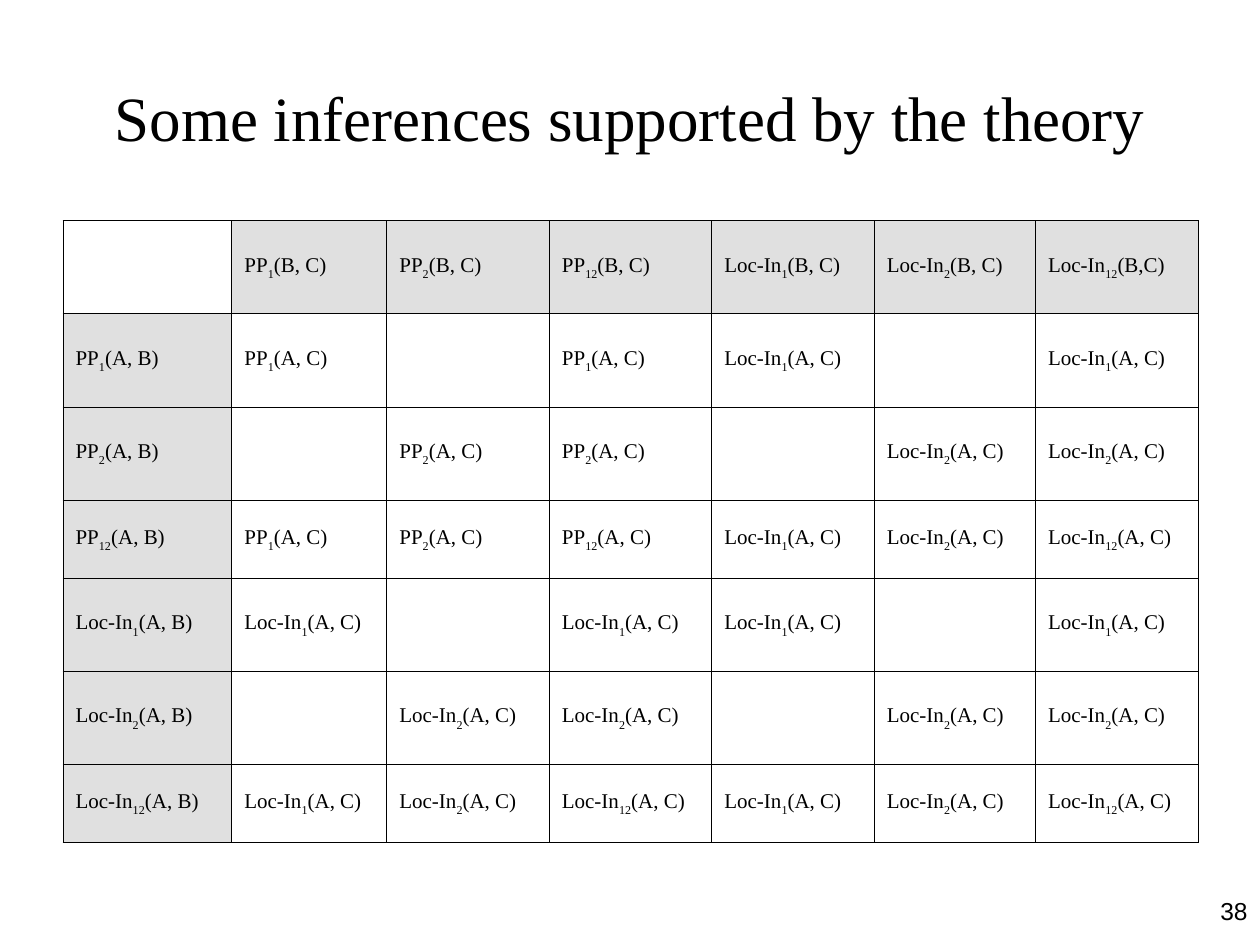
from lxml import etree
from pptx import Presentation
from pptx.dml.color import RGBColor
from pptx.enum.text import MSO_ANCHOR, PP_ALIGN
from pptx.oxml.ns import qn
from pptx.util import Inches, Pt

MIDDLE, TOP = MSO_ANCHOR.MIDDLE, MSO_ANCHOR.TOP
CENTER, RIGHT = PP_ALIGN.CENTER, PP_ALIGN.RIGHT
COLORS = {"ink": "000000", "header": "E0E0E0"}
SERIF, SANS = "Times New Roman", "Arial"

RELATIONS = [(name, index) for name in ("PP", "Loc-In") for index in ("1", "2", "12")]
COLUMN_WIDTHS = [1.34, 1.23, 1.29, 1.29, 1.29, 1.28, 1.29]
ROW_HEIGHTS = [0.74, 0.74, 0.74, 0.62, 0.74, 0.74, 0.62]
HANGING_INDENT = Inches(0.38)
BORDER_WIDTH = Pt(0.45)
SUBSCRIPT = "-30000"


def set_attributes(target, values):
    """Set every attribute named in a dict of format values."""
    for attribute, value in values.items():
        setattr(target, attribute, value)


def add_run(paragraph, text, font_name, size):
    """Append a formatted run to a paragraph and return it."""
    run = paragraph.add_run()
    run.text = text
    set_attributes(run.font, {"name": font_name, "size": Pt(size)})
    run.font.color.rgb = RGBColor.from_string(COLORS["ink"])
    return run


def add_label(slide, text, bounds, font_name, size, alignment, anchor):
    """Add a single-paragraph text box."""
    frame = slide.shapes.add_textbox(*map(Inches, bounds)).text_frame
    set_attributes(frame, {"word_wrap": True, "vertical_anchor": anchor})
    paragraph = frame.paragraphs[0]
    paragraph.alignment = alignment
    add_run(paragraph, text, font_name, size)


def add_borders(cell):
    """Draw a thin line on all four sides of a cell."""
    properties = cell._tc.get_or_add_tcPr()
    for side in ("a:lnL", "a:lnR", "a:lnT", "a:lnB"):
        line = etree.SubElement(properties, qn(side), w=str(int(BORDER_WIDTH)))
        fill = etree.SubElement(line, qn("a:solidFill"))
        etree.SubElement(fill, qn("a:srgbClr"), val=COLORS["ink"])


def write_relation(cell, relation, arguments):
    """Write a relation with its subscript and arguments into a cell."""
    name, index = relation
    paragraph = cell.text_frame.paragraphs[0]
    properties = paragraph._p.get_or_add_pPr()
    properties.set("marL", str(int(HANGING_INDENT)))
    properties.set("indent", str(-int(HANGING_INDENT)))
    for text in (name, index, arguments):
        run = add_run(paragraph, text, SERIF, 12)
        if text == index:
            run.font._element.set("baseline", SUBSCRIPT)


def infer(first, second):
    """Compose two relations; None when they share no index."""
    shared = "".join(digit for digit in first[1] if digit in second[1])
    name = "PP" if first[0] == second[0] == "PP" else "Loc-In"
    return (name, shared) if shared else None


def cell_content(row, column):
    """Return the relation and arguments shown at a table position."""
    if row == column == 0:
        return None, ""
    if row == 0:
        is_last = column == len(RELATIONS)
        return RELATIONS[column - 1], "(B,C)" if is_last else "(B, C)"
    if column == 0:
        return RELATIONS[row - 1], "(A, B)"
    return infer(RELATIONS[row - 1], RELATIONS[column - 1]), "(A, C)"


def add_inference_table(slide, left, top):
    """Add the composition table of all relations."""
    table = slide.shapes.add_table(
        len(ROW_HEIGHTS), len(COLUMN_WIDTHS), Inches(left), Inches(top),
        Inches(sum(COLUMN_WIDTHS)), Inches(sum(ROW_HEIGHTS))).table
    set_attributes(table, {"first_row": False, "horz_banding": False})
    for column, width in zip(table.columns, COLUMN_WIDTHS):
        column.width = Inches(width)
    for row, height in zip(table.rows, ROW_HEIGHTS):
        row.height = Inches(height)
    for row in range(len(ROW_HEIGHTS)):
        for column in range(len(COLUMN_WIDTHS)):
            cell = table.cell(row, column)
            cell.vertical_anchor = MIDDLE
            add_borders(cell)
            relation, arguments = cell_content(row, column)
            if relation:
                write_relation(cell, relation, arguments)
            if relation and 0 in (row, column):
                cell.fill.solid()
                cell.fill.fore_color.rgb = RGBColor.from_string(COLORS["header"])
            else:
                cell.fill.background()


def main():
    """Build and save the slide."""
    presentation = Presentation()
    set_attributes(presentation, {"slide_width": Inches(10), "slide_height": Inches(7.5)})
    slide = presentation.slides.add_slide(presentation.slide_layouts[6])
    add_label(slide, "Some inferences supported by the theory",
              (0.5, 0.3, 9, 1.25), SERIF, 36, CENTER, MIDDLE)
    add_inference_table(slide, 0.5, 1.75)
    add_label(slide, "38", (7.67, 7.06, 2.33, 0.52), SANS, 14, RIGHT, TOP)
    presentation.save("out.pptx")


main()
